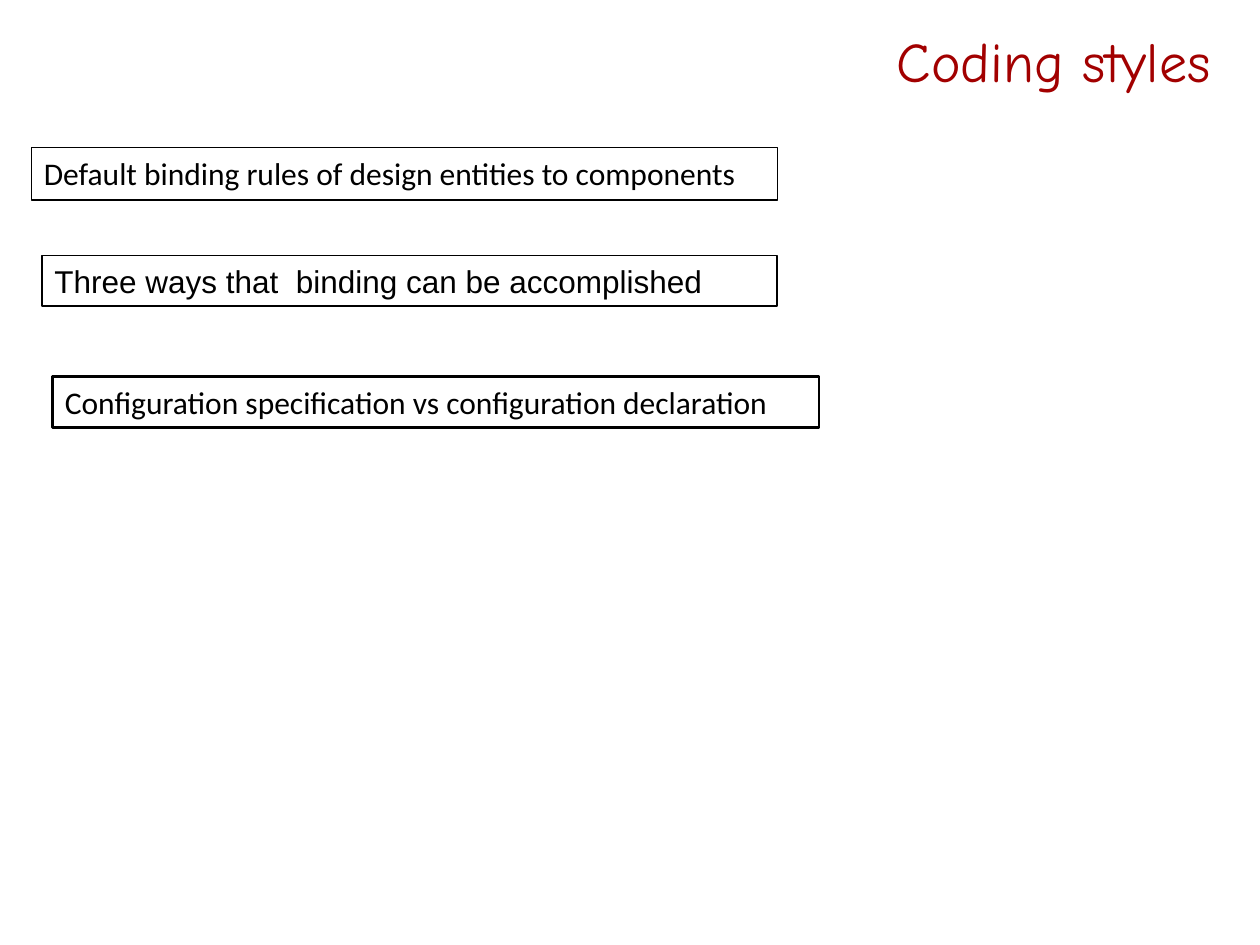
from pptx import Presentation
from pptx.util import Pt
from pptx.dml.color import RGBColor
from pptx.enum.shapes import MSO_SHAPE as Shape
from pptx.enum.text import PP_ALIGN as Align, MSO_ANCHOR as Anchor, MSO_AUTO_SIZE as Fit

RED = RGBColor(0xA2, 0x00, 0x00)
BLACK = RGBColor(0, 0, 0)

TITLE = "Coding styles"
TOPICS = [
    ("Default binding rules of design entities to components", "Calibri", (18, 84.25, 426.25, 30), 1),
    ("Three ways that  binding can be accomplished", "Arial", (24, 146, 420, 29), 1),
    ("Configuration specification vs configuration declaration", "Calibri", (30, 215.25, 438, 29), 1.5),
]


def write(box, text, font, size, color, align, anchor):
    frame = box.text_frame
    frame.word_wrap = True
    frame.vertical_anchor = anchor
    frame.text = text
    para = frame.paragraphs[0]
    para.alignment = align
    face = para.runs[0].font
    face.name = font
    face.size = Pt(size)
    face.color.rgb = color


deck = Presentation()
deck.slide_width, deck.slide_height = Pt(720), Pt(540)
slide = deck.slides.add_slide(deck.slide_layouts[6])

title = slide.shapes.add_textbox(Pt(46), Pt(9.5), Pt(653), Pt(50))
write(title, TITLE, "Comic Neue", 32, RED, Align.RIGHT, Anchor.MIDDLE)

for text, font, place, width in TOPICS:
    box = slide.shapes.add_shape(Shape.RECTANGLE, *map(Pt, place))
    box.shadow.inherit = False
    box.fill.background()
    box.line.color.rgb = BLACK
    box.line.width = Pt(width)
    write(box, text, font, 18, BLACK, Align.LEFT, Anchor.TOP)
    box.text_frame.auto_size = Fit.SHAPE_TO_FIT_TEXT

deck.save("out.pptx")
